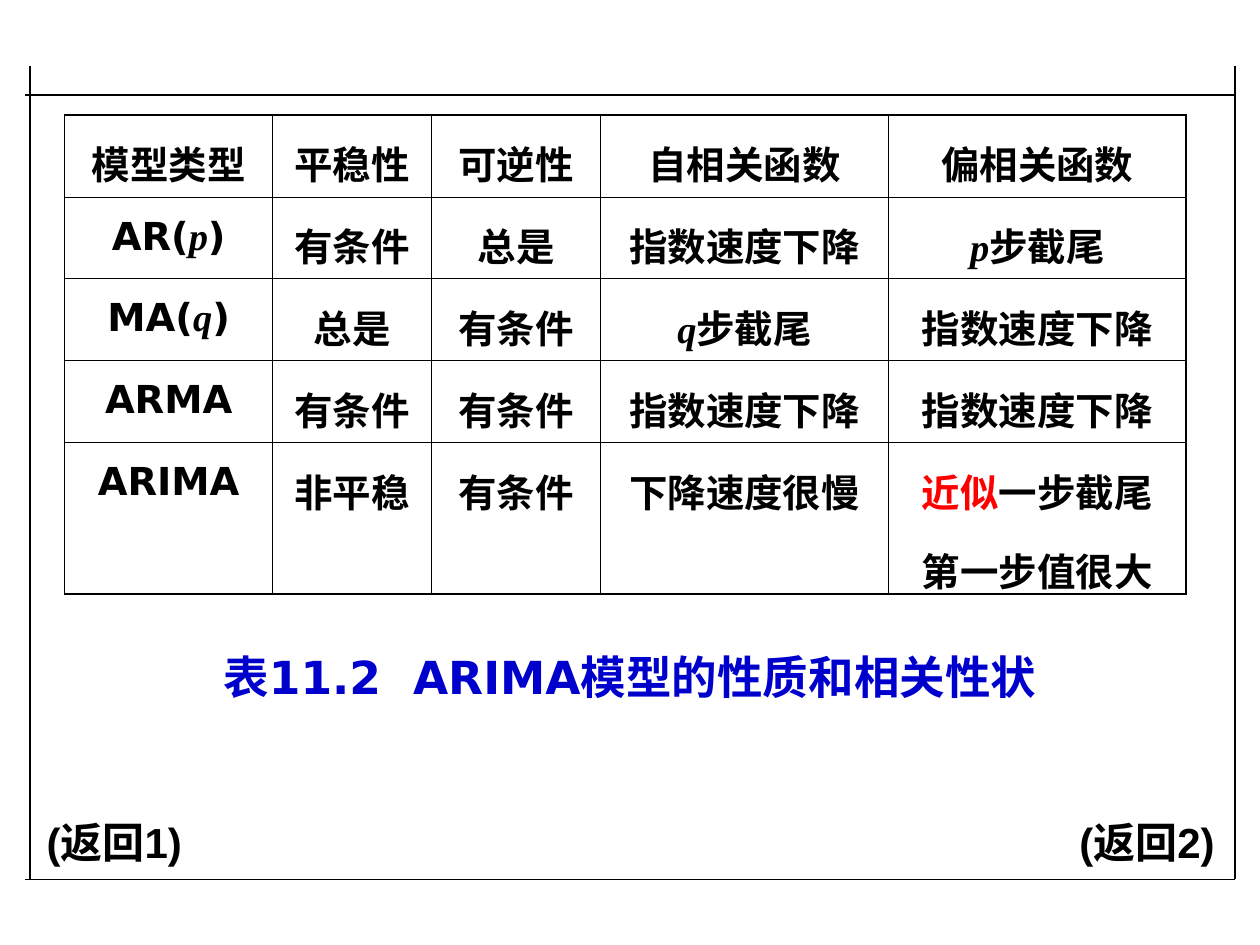
from lxml import etree
from pptx import Presentation, util as u
from pptx.dml.color import RGBColor
from pptx.enum import text
from pptx.oxml import ns

SANS, HAN, SERIF = "DejaVu Sans", "Noto Sans CJK SC", "Times New Roman"
BLACK, RED, BLUE = "000000", "FF0000", "0000CC"
THIN, THICK = u.Pt(0.45), u.Pt(1.08)
MID = text.PP_ALIGN.CENTER

COLS = [4.2, 3.2, 3.41, 5.8, 6]
ROWS = [1.65] * 4 + [3.05]

# A cell is a list of paragraphs, a paragraph a list of (text, look) runs.
LOOKS = {
    "head": dict(name=SANS),
    "body": dict(name=HAN),
    "var": dict(name=SERIF, italic=True),
    "red": dict(name=HAN, hue=RED),
}


def plain(word, look="body"):
    return [[(word, look)]]


def order(name, var):
    return [[(name + "(", "head"), (var, "var"), (")", "head")]]


def cutoff(var):
    return [[(var, "var"), ("步截尾", "body")]]


COND, ALWAYS, DECAY = plain("有条件"), plain("总是"), plain("指数速度下降")
NEAR = [[("近似", "red"), ("一步截尾", "body")], [("第一步值很大", "body")]]
HEADS = ["模型类型", "平稳性", "可逆性", "自相关函数", "偏相关函数"]
GRID = [
    [plain(head, "head") for head in HEADS],
    [order("AR", "p"), COND, ALWAYS, DECAY, cutoff("p")],
    [order("MA", "q"), ALWAYS, COND, cutoff("q"), DECAY],
    [plain("ARMA", "head"), COND, COND, DECAY, DECAY],
    [plain("ARIMA", "head"), plain("非平稳"), COND, plain("下降速度很慢"), NEAR],
]


def color(code):
    return RGBColor.from_string(code)


def add_run(para, word, size, hue=BLACK, gap=0, **look):
    """Add a run; gap widens each letter by that many points."""
    run = para.add_run()
    run.text = word
    font = run.font
    for key, val in dict(size=u.Pt(size), bold=True, **look).items():
        setattr(font, key, val)
    font.color.rgb = color(hue)
    props = run._r.get_or_add_rPr()
    if gap:
        props.set("spc", str(gap * 100))
    # Chinese glyphs keep one typeface, whatever the Latin one is
    etree.SubElement(props, ns.qn("a:ea")).set("typeface", HAN)


def add_label(slide, runs, box, size, name, hue=BLACK, align=None):
    frame = slide.shapes.add_textbox(*map(u.Cm, box)).text_frame
    frame.word_wrap = True
    frame.vertical_anchor = text.MSO_ANCHOR.MIDDLE
    para = frame.paragraphs[0]
    para.alignment = align
    for word, gap in runs:
        add_run(para, word, size, hue, gap, name=name)


def add_table(slide, left, top, cols, rows):
    size = map(u.Cm, (left, top, sum(cols), sum(rows)))
    frame = slide.shapes.add_table(len(rows), len(cols), *size)
    table = frame.table
    table.first_row = table.horz_banding = False
    for col, width in zip(table.columns, cols):
        col.width = u.Cm(width)
    for row, height in zip(table.rows, rows):
        row.height = u.Cm(height)
    return frame


def set_edges(cell, widths):
    """Draw the sides that widths names and clear the others."""
    props = cell._tc.get_or_add_tcPr()
    for side in "LRTB":
        edge = etree.SubElement(props, ns.qn("a:ln" + side))
        if side in widths:
            edge.set("w", str(widths[side]))
            fill = etree.SubElement(edge, ns.qn("a:solidFill"))
            etree.SubElement(fill, ns.qn("a:srgbClr")).set("val", BLACK)
        else:
            etree.SubElement(edge, ns.qn("a:noFill"))
    cell.fill.background()


def add_rule(slide, side, left, top, width, height, col):
    """Add a one-cell table with a line on one side only."""
    frame = add_table(slide, left, top, [col], [height])
    frame.width = u.Cm(width)
    cell = frame.table.cell(0, 0)
    set_edges(cell, {side: THICK})
    # The size of the empty line sets the least height of the row
    end = cell.text_frame.paragraphs[0]._p.get_or_add_endParaRPr()
    end.set("sz", "2400")
    etree.SubElement(end, ns.qn("a:latin")).set("typeface", SERIF)


def fill_cell(cell, paras):
    frame = cell.text_frame
    for i, runs in enumerate(paras):
        para = frame.add_paragraph() if i else frame.paragraphs[0]
        style = dict(alignment=MID, line_spacing=1.25,
                     space_before=u.Pt(5.5 if i else 0))
        for key, val in style.items():
            setattr(para, key, val)
        for word, look in runs:
            add_run(para, word, 22, **LOOKS[look])


def add_grid(slide, left, top):
    table = add_table(slide, left, top, COLS, ROWS).table
    ends = {"T": 0, "B": len(ROWS) - 1}, {"L": 0, "R": len(COLS) - 1}
    for r, line in enumerate(GRID):
        for c, paras in enumerate(line):
            cell = table.cell(r, c)
            set_edges(cell, {side: THICK if pos == end else THIN
                             for pos, marks in zip((r, c), ends)
                             for side, end in marks.items()})
            fill_cell(cell, paras)


def main():
    deck = Presentation()
    deck.slide_width, deck.slide_height = u.Cm(25.4), u.Cm(19.05)
    slide = deck.slides.add_slide(deck.slide_layouts[6])

    for side, y in (("B", 0.72), ("T", 17.73)):
        add_rule(slide, side, 0.5, y, 24.4, 0.58, 24.4)
    for side, x in (("L", 24.9), ("R", 0)):
        add_rule(slide, side, x, 1.33, 0.5, 16.4, 0.6)

    caption = [("表11.2", 0), (" ", 9), ("ARIMA模型的性质和相关性状", 0)]
    add_label(slide, caption, (0.9, 12.76, 23.6, 1.75), 26, SANS, BLUE, MID)
    add_grid(slide, 1.3, 2.32)
    for x, words in ((21.51, "(返回2)"), (0.69, "(返回1)")):
        add_label(slide, [(words, 0)], (x, 16.33, 3.9, 1.27), 24, "Arial")
    deck.save("out.pptx")


if __name__ == "__main__":
    main()
